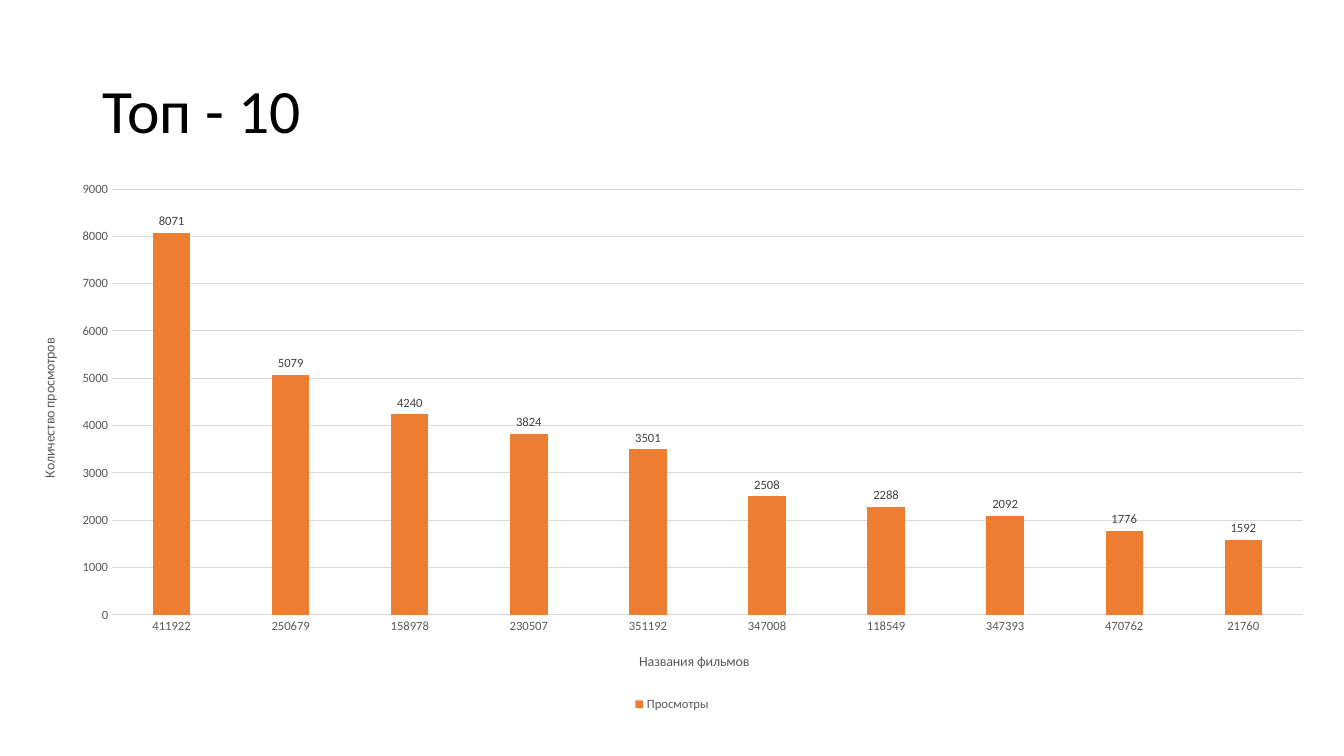
from pptx import Presentation
from pptx import util as u
from pptx.chart.data import CategoryChartData
from pptx.dml.color import RGBColor
from pptx.enum import chart as ch, text
from pptx.oxml import parse_xml
from pptx.oxml.ns import nsdecls, qn

BLACK = RGBColor(0x00, 0x00, 0x00)
ORANGE = RGBColor(0xED, 0x7D, 0x31)
GRID_GRAY = RGBColor(0xD9, 0xD9, 0xD9)
AXIS_GRAY = RGBColor(0x59, 0x59, 0x59)
LABEL_GRAY = RGBColor(0x40, 0x40, 0x40)

VIEWS = {
    "411922": 8071, "250679": 5079, "158978": 4240, "230507": 3824,
    "351192": 3501, "347008": 2508, "118549": 2288, "347393": 2092,
    "470762": 1776, "21760": 1592,
}


def style_font(font, size=9, color=AXIS_GRAY):
    """Apply the slide's typeface with a size and colour."""
    font.name = "Calibri"
    font.size = u.Pt(size)
    font.bold = False
    font.color.rgb = color


def write(frame, words, size=10, color=AXIS_GRAY, align=None, spacing=None):
    """Put one formatted paragraph into a text frame."""
    frame.text = words
    paragraph = frame.paragraphs[0]
    paragraph.alignment = align
    paragraph.line_spacing = spacing
    style_font(paragraph.runs[0].font, size, color)


def place_part(part, index, target="", **fractions):
    """Give a chart part a manual layout in fractions of the chart."""
    for old in part.findall(qn("c:layout")):
        part.remove(old)
    modes = "".join(f'<c:{k}Mode val="edge"/>' for k in "xy")
    values = "".join(f'<c:{k} val="{v}"/>' for k, v in fractions.items())
    part.insert(index, parse_xml(
        f'<c:layout {nsdecls("c")}><c:manualLayout>{target}{modes}{values}'
        "</c:manualLayout></c:layout>"))


def style_axis(axis, name, x, y):
    """Format an axis and place its title."""
    axis.major_tick_mark = axis.minor_tick_mark = ch.XL_TICK_MARK.NONE
    style_font(axis.tick_labels.font)
    axis.format.line.color.rgb = GRID_GRAY
    axis.format.line.width = u.Pt(0.75)
    write(axis.axis_title.text_frame, name)
    place_part(axis.axis_title._element, 1, x=x, y=y)


def add_heading(slide, left, top, width, height):
    """Move and fill the title placeholder."""
    heading = slide.shapes.title
    heading.left, heading.top = left, top
    heading.width, heading.height = width, height
    heading.text_frame.vertical_anchor = text.MSO_ANCHOR.MIDDLE
    write(heading.text_frame, "Топ - 10", size=44, color=BLACK,
          align=text.PP_ALIGN.LEFT, spacing=0.9)


def add_views_chart(slide, left, top, width, height):
    """Draw the column chart of views by film."""
    data = CategoryChartData(number_format="General")
    data.categories = list(VIEWS)
    data.add_series("Просмотры", list(VIEWS.values()))
    chart = slide.shapes.add_chart(
        ch.XL_CHART_TYPE.COLUMN_CLUSTERED, left, top, width, height, data).chart
    style_font(chart.font, size=10, color=BLACK)
    chart.has_title = False
    chart.has_legend = True
    chart.legend.position = ch.XL_LEGEND_POSITION.BOTTOM
    chart.legend.include_in_layout = False
    style_font(chart.legend.font)

    films, counts = chart.category_axis, chart.value_axis
    style_axis(films, "Названия фильмов", x=0.473, y=0.878)
    style_axis(counts, "Количество просмотров", x=0.018, y=0.302)
    counts.format.line.fill.background()
    counts.minimum_scale, counts.maximum_scale = 0, 9000
    counts.major_unit = 1000
    counts.major_gridlines.format.line.color.rgb = GRID_GRAY
    counts.major_gridlines.format.line.width = u.Pt(0.75)

    plot = chart.plots[0]
    plot.gap_width, plot.overlap = 219, -27
    plot.vary_by_categories = False
    views = plot.series[0]
    views.format.fill.solid()
    views.format.fill.fore_color.rgb = ORANGE
    labels = views.data_labels
    labels.show_value = True
    labels.position = ch.XL_LABEL_POSITION.OUTSIDE_END
    style_font(labels.font, color=LABEL_GRAY)
    plot_area = chart._chartSpace.find(".//" + qn("c:plotArea"))
    place_part(plot_area, 0, '<c:layoutTarget val="inner"/>',
               x=0.0745, y=0.0325, w=0.905, h=0.7825)


def main():
    """Build and save the slide."""
    deck = Presentation()
    deck.slide_width, deck.slide_height = u.Inches(13.33), u.Inches(7.5)
    slide = deck.slides.add_slide(deck.slide_layouts.get_by_name("Title Only"))
    add_heading(slide, u.Inches(0.92), u.Inches(0.4), u.Inches(11.5), u.Inches(1.45))
    add_views_chart(slide, u.Inches(0.14), u.Inches(1.7), u.Inches(13.05), u.Inches(5.4))
    deck.save("out.pptx")


if __name__ == "__main__":
    main()
